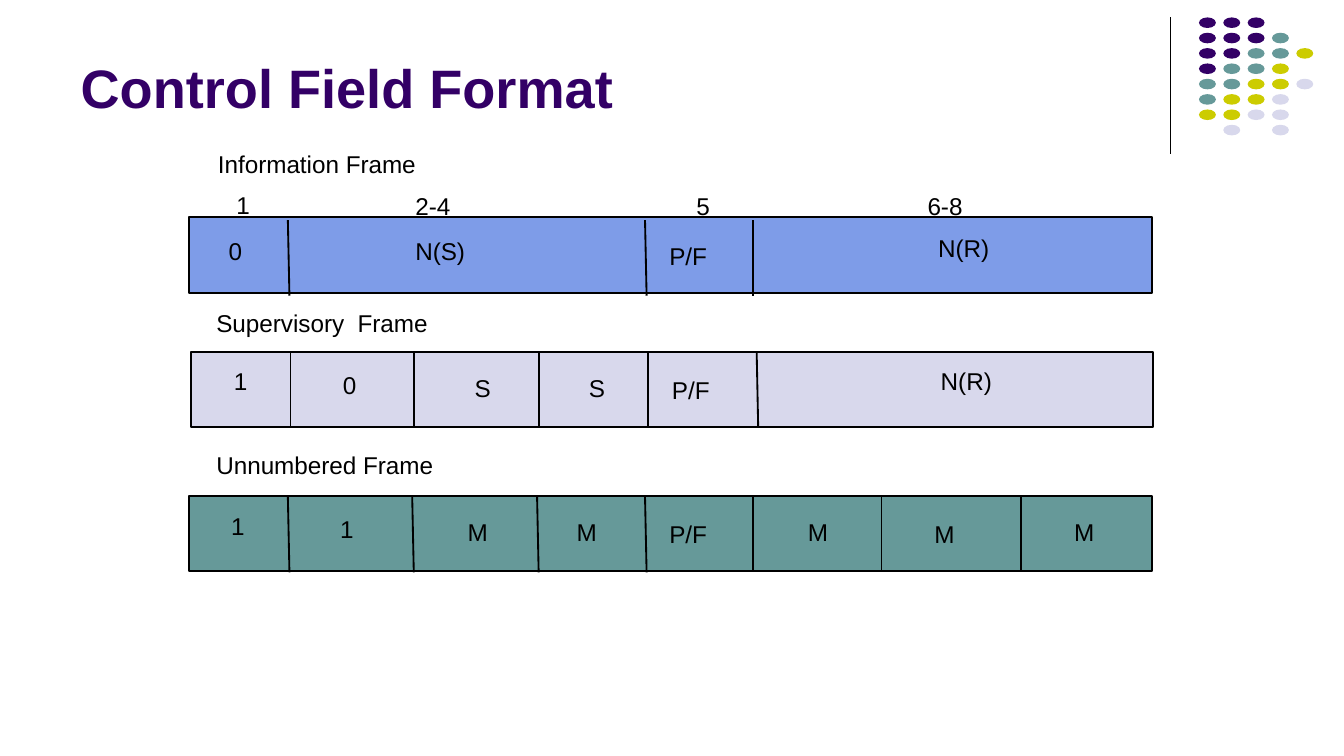
"""Build the Control Field Format slide."""
from pptx import Presentation
from pptx.dml.color import RGBColor
from pptx.enum.shapes import MSO_CONNECTOR, MSO_SHAPE
from pptx.enum.text import MSO_ANCHOR, MSO_AUTO_SIZE, PP_ALIGN
from pptx.oxml.ns import qn
from pptx.util import Cm, Pt
from lxml.etree import SubElement

COLOURS = {
    "black": "000000",
    "purple": "330066",
    "teal": "669999",
    "yellow": "CCCC00",
    "lavender": "D8D8EC",
    "blue": "7E9CE8",
}
DOT_COLOURS = {"P": "purple", "T": "teal", "Y": "yellow", "L": "lavender"}
DOT_ROWS = ["PPP", "PPPT", "PPTTY", "PTTY", "TTYYL", "TYYL", "YYLL", ".L.L"]

LABEL_WIDTHS = {
    "0": 0.64, "1": 0.64, "5": 0.64, "S": 0.69, "M": 0.76, "P/F": 1.09,
    "2-4": 1.04, "6-8": 1.04, "N(S)": 1.32, "N(R)": 1.35,
    "Information Frame": 4.11, "Supervisory  Frame": 4.37, "Unnumbered Frame": 4.47,
}
BAR_WIDTH, BAR_HEIGHT, SLANT = 18.19, 1.43, 0.03

FRAMES = [
    {
        "colour": "blue", "left": 3.58, "top": 4.11, "divider_drop": 0.05,
        "dividers": [(1.86, SLANT), (8.61, SLANT), (10.65, 0)],
        "labels": [
            ("Information Frame", 3.94, 2.74),
            ("1", 4.29, 3.51), ("2-4", 7.67, 3.53), ("5", 12.98, 3.53), ("6-8", 17.35, 3.53),
            ("0", 4.14, 4.37), ("N(S)", 7.67, 4.37), ("P/F", 12.47, 4.47), ("N(R)", 17.55, 4.32),
        ],
    },
    {
        "colour": "lavender", "left": 3.61, "top": 6.65, "divider_drop": 0,
        "dividers": [(1.88, 0), (4.22, 0), (6.58, 0), (8.64, 0), (10.69, SLANT)],
        "labels": [
            ("Supervisory  Frame", 3.91, 5.74),
            ("1", 4.24, 6.83), ("0", 6.3, 6.91), ("S", 8.79, 6.96), ("S", 10.95, 6.96),
            ("P/F", 12.52, 7.01), ("N(R)", 17.6, 6.83),
        ],
    },
    {
        "colour": "teal", "left": 3.58, "top": 9.37, "divider_drop": 0.02,
        "dividers": [(1.86, SLANT), (4.21, SLANT), (6.57, SLANT), (8.61, SLANT),
                     (10.65, 0), (13.08, 0), (15.72, 0)],
        "labels": [
            ("Unnumbered Frame", 3.91, 8.43),
            ("1", 4.19, 9.58), ("1", 6.25, 9.63), ("M", 8.66, 9.68), ("M", 10.72, 9.68),
            ("P/F", 12.47, 9.73), ("M", 15.09, 9.68), ("M", 17.48, 9.73), ("M", 20.12, 9.68),
        ],
    },
]


class SlideBuilder:
    """Hold the style and the current slide."""

    font_name = "Arial"

    def __init__(self, slide):
        self.slide = slide

    def colour(self, name):
        return RGBColor.from_string(COLOURS[name])

    def format_text(self, text_frame, text, size, colour, bold=False):
        text_frame.text = text
        paragraph = text_frame.paragraphs[0]
        paragraph.alignment = PP_ALIGN.LEFT
        font = paragraph.runs[0].font
        font.name, font.size, font.bold = self.font_name, Pt(size), bold
        font.color.rgb = self.colour(colour)

    def title(self, text, left, top, width, height):
        shape = self.slide.shapes.title
        shape.left, shape.top, shape.width, shape.height = map(Cm, (left, top, width, height))
        text_frame = shape.text_frame
        self.format_text(text_frame, text, 29, "purple", bold=True)
        text_frame.auto_size = MSO_AUTO_SIZE.NONE
        text_frame.vertical_anchor = MSO_ANCHOR.BOTTOM

    def label(self, text, left, top):
        box = self.slide.shapes.add_textbox(Cm(left), Cm(top), Cm(LABEL_WIDTHS[text]), Cm(0.74))
        text_frame = box.text_frame
        text_frame.word_wrap = False
        text_frame.margin_left = text_frame.margin_right = Cm(0.18)
        text_frame.margin_top = text_frame.margin_bottom = Cm(0.09)
        self.format_text(text_frame, text, 13, "black")

    def shape(self, kind, left, top, width, height, fill, outlined=False):
        shape = self.slide.shapes.add_shape(kind, Cm(left), Cm(top), Cm(width), Cm(height))
        shape.shadow.inherit = False
        shape.fill.solid()
        shape.fill.fore_color.rgb = self.colour(fill)
        if outlined:
            shape.line.color.rgb = self.colour("black")
            shape.line.width = Pt(1)
        else:
            shape.line.fill.background()

    def line(self, start_x, start_y, end_x, end_y, width=1):
        connector = self.slide.shapes.add_connector(
            MSO_CONNECTOR.STRAIGHT, Cm(start_x), Cm(start_y), Cm(end_x), Cm(end_y))
        connector.line.color.rgb = self.colour("black")
        connector.line.width = Pt(width)
        SubElement(connector._element.spPr, qn("a:effectLst"))

    def dots(self, left, top):
        for row, pattern in enumerate(DOT_ROWS):
            for column, key in enumerate(pattern):
                if key in DOT_COLOURS:
                    self.shape(MSO_SHAPE.OVAL, left + column * 0.46, top + row * 0.29,
                               0.32, 0.2, DOT_COLOURS[key])

    def frame(self, colour, left, top, divider_drop, dividers, labels):
        self.shape(MSO_SHAPE.RECTANGLE, left, top, BAR_WIDTH, BAR_HEIGHT, colour, outlined=True)
        divider_top = top + divider_drop
        for offset, slant in dividers:
            divider_left = left + offset
            self.line(divider_left, divider_top, divider_left + slant, divider_top + BAR_HEIGHT)
        for text, label_left, label_top in labels:
            self.label(text, label_left, label_top)


def main():
    presentation = Presentation()
    presentation.slide_width, presentation.slide_height = Cm(25.4), Cm(14.29)
    builder = SlideBuilder(presentation.slides.add_slide(presentation.slide_layouts[5]))
    builder.line(22.12, 0.33, 22.12, 2.92, width=0.75)
    builder.dots(22.66, 0.33)
    builder.title("Control Field Format", 1.27, 0.25, 20.96, 2.13)
    for frame in FRAMES:
        builder.frame(**frame)
    presentation.save("out.pptx")


if __name__ == "__main__":
    main()
